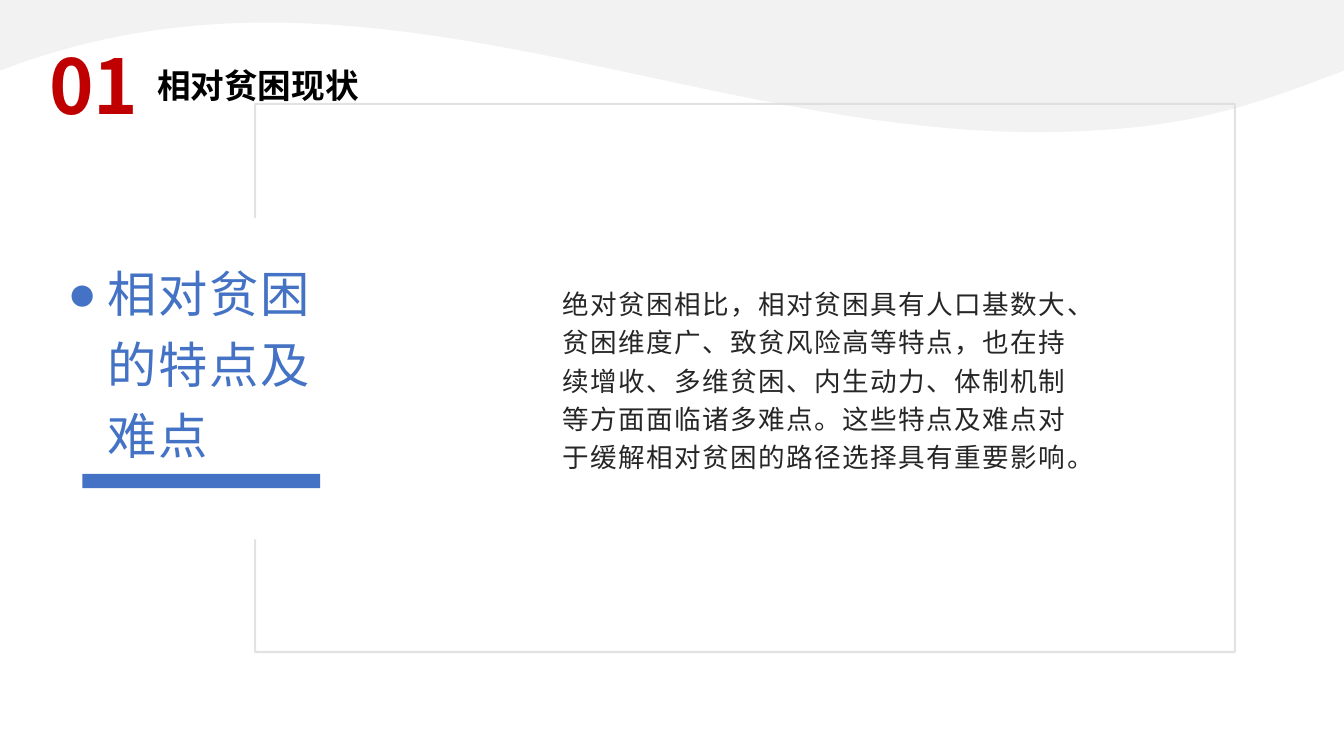
import pptx
import pptx.util
import pptx.dml.color
import pptx.enum.shapes
import pptx.enum.text
import pptx.oxml
import pptx.oxml.ns
import lxml.etree

Cm = pptx.util.Cm
Pt = pptx.util.Pt
ALIGN = pptx.enum.text.PP_ALIGN
ANCHOR = pptx.enum.text.MSO_ANCHOR

THEME = {
    "wave": "F2F2F2", "frame": "D9D9D9", "accent": "4472C4",
    "number": "C00000", "heading": "000000", "body": "262626",
    "latin": "Arial", "cjk": "Noto Sans CJK SC",
    "number_size": 54, "heading_size": 24, "title_size": 35.2, "body_size": 19,
}

SLIDE_SIZE = (33.87, 19.05)
WAVE_CURVES = [
    [(0, 1.78), (8.81, -1.63), (17.07, 3.23), (25.88, 3.33)],
    [(25.88, 3.33), (29.72, 3.35), (31.39, 2.72), (33.87, 1.78)],
]
CURVE_STEPS = 40
FRAME_POINTS = [(6.43, 5.49), (6.43, 2.62), (31.12, 2.62),
                (31.12, 16.43), (6.43, 16.43), (6.43, 13.59)]
TITLE_BAR = (2.08, 11.94, 5.99, 0.36)
INDENT = 1.02

TEXTS = [
    {"text": "绝对贫困相比，相对贫困具有人口基数大、贫困维度广、致贫风险高等特点，也在持续增收、多维贫困、内生动力、体制机制等方面面临诸多难点。这些特点及难点对于缓解相对贫困的路径选择具有重要影响。",
     "at": (12.9, 5.66, 14.45, 7.7), "role": "body", "color": "body",
     "font": "latin", "spacing": 110, "hanging": 0},
    {"text": "相对贫困的特点及难点",
     "at": (1.45, 6.12, 7.34, 5.82), "role": "title", "color": "accent",
     "font": "latin", "spacing": 130, "hanging": -INDENT, "bullet": "●"},
    {"text": "01", "at": (0.64, 0.86, 3.45, 2.57), "role": "number",
     "color": "number", "font": "cjk", "bold": True, "align": ALIGN.CENTER},
    {"text": "相对贫困现状", "at": (3.71, 1.5, 6.45, 1.27), "role": "heading",
     "color": "heading", "font": "cjk", "bold": True},
]


def rgb(name):
    return pptx.dml.color.RGBColor.from_string(THEME[name])


def add_element(parent, tag, **attributes):
    element = lxml.etree.SubElement(parent, pptx.oxml.ns.qn(tag))
    for name, value in attributes.items():
        element.set(name, value)
    return element


def curve_points(curve):
    for step in range(CURVE_STEPS + 1):
        t = step / CURVE_STEPS
        weights = ((1 - t) ** 3, 3 * t * (1 - t) ** 2, 3 * t ** 2 * (1 - t), t ** 3)
        yield tuple(sum(w * p[axis] for w, p in zip(weights, curve)) for axis in (0, 1))


def add_outline(page, points, close):
    lengths = [(Cm(x), Cm(y)) for x, y in points]
    builder = page.shapes.build_freeform(*lengths[0])
    builder.add_line_segments(lengths[1:], close=close)
    shape = builder.convert_to_shape()
    shape.shadow.inherit = False
    return shape


def fill_plain(shape, color):
    shape.shadow.inherit = False
    shape.fill.solid()
    shape.fill.fore_color.rgb = rgb(color)
    shape.line.fill.background()


def add_text(page, item):
    box = page.shapes.add_textbox(*map(Cm, item["at"]))
    frame = box.text_frame
    frame.word_wrap = True
    para = frame.paragraphs[0]
    para.alignment = item.get("align", ALIGN.LEFT)
    if "hanging" in item:
        frame.vertical_anchor = ANCHOR.MIDDLE
        para.line_spacing = 1.2
        para.space_after = Pt(8)
        properties = para._p.get_or_add_pPr()
        properties.set("marL", str(Cm(INDENT)))
        properties.set("indent", str(Cm(item["hanging"])))
        if "bullet" in item:
            add_element(properties, "a:buFont", typeface=THEME["latin"])
            add_element(properties, "a:buChar", char=item["bullet"])
    span = para.add_run()
    span.text = item["text"]
    span.font.name = THEME[item["font"]]
    span.font.size = Pt(THEME[item["role"] + "_size"])
    span.font.bold = item.get("bold", False)
    span.font.color.rgb = rgb(item["color"])
    run_properties = span._r.get_or_add_rPr()
    add_element(run_properties, "a:ea", typeface=THEME["cjk"])
    if "spacing" in item:
        run_properties.set("spc", str(item["spacing"]))


def main():
    deck = pptx.Presentation()
    deck.slide_width, deck.slide_height = map(Cm, SLIDE_SIZE)
    page = deck.slides.add_slide(deck.slide_layouts[6])

    wave_points = [(0, 0)]
    for curve in WAVE_CURVES:
        wave_points.extend(curve_points(curve))
    wave_points.append((SLIDE_SIZE[0], 0))
    fill_plain(add_outline(page, wave_points, True), "wave")

    bar = page.shapes.add_shape(pptx.enum.shapes.MSO_SHAPE.RECTANGLE, *map(Cm, TITLE_BAR))
    fill_plain(bar, "accent")

    border = add_outline(page, FRAME_POINTS, False)
    border.fill.background()
    border.line.width = Pt(1.5)
    border.line.color.rgb = rgb("frame")
    line_color = border.line._ln.find(".//" + pptx.oxml.ns.qn("a:srgbClr"))
    add_element(line_color, "a:alpha", val="75000")

    for item in TEXTS:
        add_text(page, item)

    deck.save("out.pptx")


if __name__ == "__main__":
    main()
